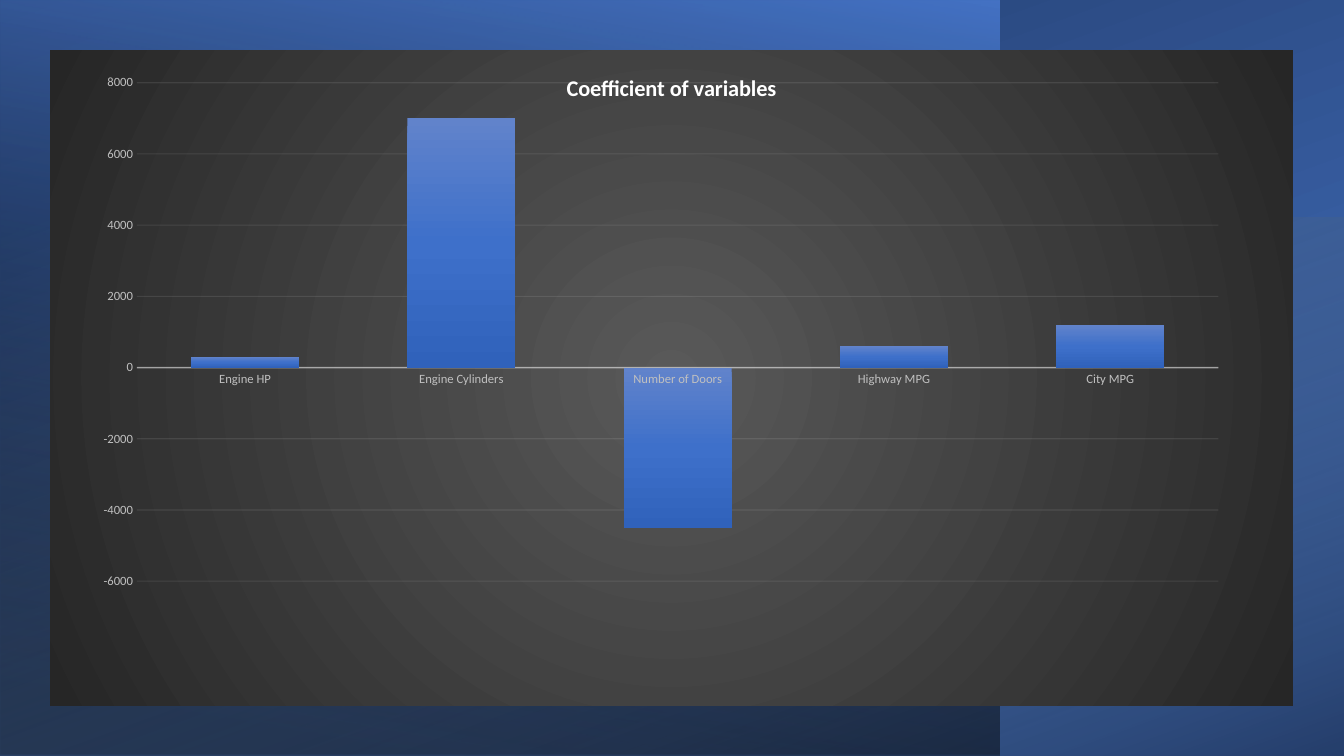
from lxml import etree
from pptx import Presentation
from pptx.chart.data import CategoryChartData
from pptx.dml.color import RGBColor
from pptx.enum.chart import XL_CHART_TYPE, XL_TICK_MARK
from pptx.enum.shapes import MSO_SHAPE
from pptx.oxml import parse_xml
from pptx.oxml.ns import nsdecls, qn
from pptx.util import Emu, Pt

SLIDE = (1344, 756)
# Background panels: left, top, width, height, rotation, stops (position, colour, opacity), angle
PANELS = [
    (294, -294, 756, 1344, 270, [(8, "4472C4", 100), (100, "203864", 100)], 200),
    (0, 0, 1000, 756, 180, [(8, "000000", 52), (100, "4472C4", 100)], 80),
    (402, -185, 539, 1344, 270, [(0, "9DC3E6", 0), (100, "000000", 46)], 20),
]
TITLE = "Coefficient of variables"
COEFFICIENTS = {
    "Engine HP": 300,
    "Engine Cylinders": 7000,
    "Number of Doors": -4500,
    "Highway MPG": 600,
    "City MPG": 1200,
}
CHART_BOX = (50, 50, 1243, 656)
PLOT = {"x": 0.07, "y": 0.05, "w": 0.87, "h": 0.76}
CHART_STOPS = [(0, "595959", 100), (100, "262626", 100)]
BAR_STOPS = [(0, "6183CB", 100), (50, "3E70CA", 100), (100, "3062BB", 100)]
FONT = "Calibri"


def px(n):
    return Emu(round(n * 914400 / 100.8))


def rgb(color):
    return RGBColor.from_string(color)


def gradient(stops, angle=None):
    """Linear at the given angle, or circular from the centre without one."""
    gs = "".join(
        f'<a:gs pos="{pos * 1000}"><a:srgbClr val="{color}">'
        f'<a:alpha val="{alpha * 1000}"/></a:srgbClr></a:gs>'
        for pos, color, alpha in stops)
    if angle is None:
        way = ('<a:path path="circle"><a:fillToRect l="50000" t="50000" '
               'r="50000" b="50000"/></a:path>')
    else:
        way = f'<a:lin ang="{angle * 60000}" scaled="0"/>'
    return parse_xml(f'<a:gradFill {nsdecls("a")} rotWithShape="1">'
                     f'<a:gsLst>{gs}</a:gsLst>{way}</a:gradFill>')


def fill_gradient(fill, spPr, stops, angle):
    fill.background()
    spPr.replace(spPr.find(qn("a:noFill")), gradient(stops, angle))


def style_line(line, color, width, alpha):
    line.width = Pt(width)
    line.color.rgb = rgb(color)
    clr = line.fill.fore_color  # keeps the solid fill in place
    return clr, alpha


def set_line(axis_part, tag, element, color, width, alpha):
    line = axis_part.format.line
    line.width = Pt(width)
    line.color.rgb = rgb(color)
    clr = element.find(f".//{qn(tag)}//{qn('a:ln')}//{qn('a:srgbClr')}")
    etree.SubElement(clr, qn("a:alpha")).set("val", str(alpha * 1000))


def set_font(font, size, color, bold=False):
    font.name, font.size, font.bold = FONT, Pt(size), bold
    font.color.rgb = rgb(color)


def add_panels(s):
    for x, y, w, h, rotation, stops, angle in PANELS:
        sp = s.shapes.add_shape(MSO_SHAPE.RECTANGLE, px(x), px(y), px(w), px(h))
        sp.shadow.inherit = False
        sp.line.fill.background()
        sp.rotation = rotation
        spPr = sp.element.spPr
        spPr.find(qn("a:xfrm")).set("flipH", "1")
        fill_gradient(sp.fill, spPr, stops, angle)


def add_coefficient_chart(s):
    data = CategoryChartData()
    data.categories = list(COEFFICIENTS)
    data.add_series("Series 1", list(COEFFICIENTS.values()))
    chart = s.shapes.add_chart(
        XL_CHART_TYPE.COLUMN_CLUSTERED, *map(px, CHART_BOX), data).chart
    space = chart.element
    set_font(chart.font, 10, "000000")
    chart.has_legend = False

    # Title over the plot
    chart.has_title = True
    tf = chart.chart_title.text_frame
    tf.text = TITLE
    set_font(tf.paragraphs[0].runs[0].font, 16, "FFFFFF", bold=True)
    chart.chart_title.include_in_layout = True

    # Columns
    plot = chart.plots[0]
    plot.vary_by_categories = False
    plot.gap_width, plot.overlap = 100, -24
    series = plot.series[0]
    series.invert_if_negative = False
    fill = series.format.fill
    fill_gradient(fill, space.find(f".//{qn('c:ser')}/{qn('c:spPr')}"), BAR_STOPS, 90)

    # Axes
    cat, val = chart.category_axis, chart.value_axis
    for axis in (cat, val):
        axis.major_tick_mark = axis.minor_tick_mark = XL_TICK_MARK.NONE
        set_font(axis.tick_labels.font, 9, "C0C0C0")
    val.minimum_scale, val.maximum_scale, val.major_unit = -6000, 8000, 2000
    val.has_major_gridlines = True
    set_line(cat, "c:catAx", space, "F2F2F2", 1, 54)
    set_line(val.major_gridlines, "c:majorGridlines", space, "F2F2F2", 0.75, 10)
    val.format.line.fill.background()

    # Fixed inner plot area
    area = space.find(f".//{qn('c:plotArea')}")
    for old in area.findall(qn("c:layout")):
        area.remove(old)
    modes = '<c:xMode val="edge"/><c:yMode val="edge"/>'
    sizes = "".join(f'<c:{key} val="{value}"/>' for key, value in PLOT.items())
    area.insert(0, parse_xml(
        f'<c:layout {nsdecls("c")}><c:manualLayout><c:layoutTarget val="inner"/>'
        f'{modes}{sizes}</c:manualLayout></c:layout>'))

    # Chart background
    spPr = parse_xml(f'<c:spPr {nsdecls("c", "a")}><a:ln><a:noFill/></a:ln></c:spPr>')
    spPr.insert(0, gradient(CHART_STOPS))
    space.find(qn("c:chart")).addnext(spPr)


def main():
    prs = Presentation()
    prs.slide_width, prs.slide_height = map(px, SLIDE)
    s = prs.slides.add_slide(prs.slide_layouts[6])
    add_panels(s)
    add_coefficient_chart(s)
    prs.save("out.pptx")


if __name__ == "__main__":
    main()
